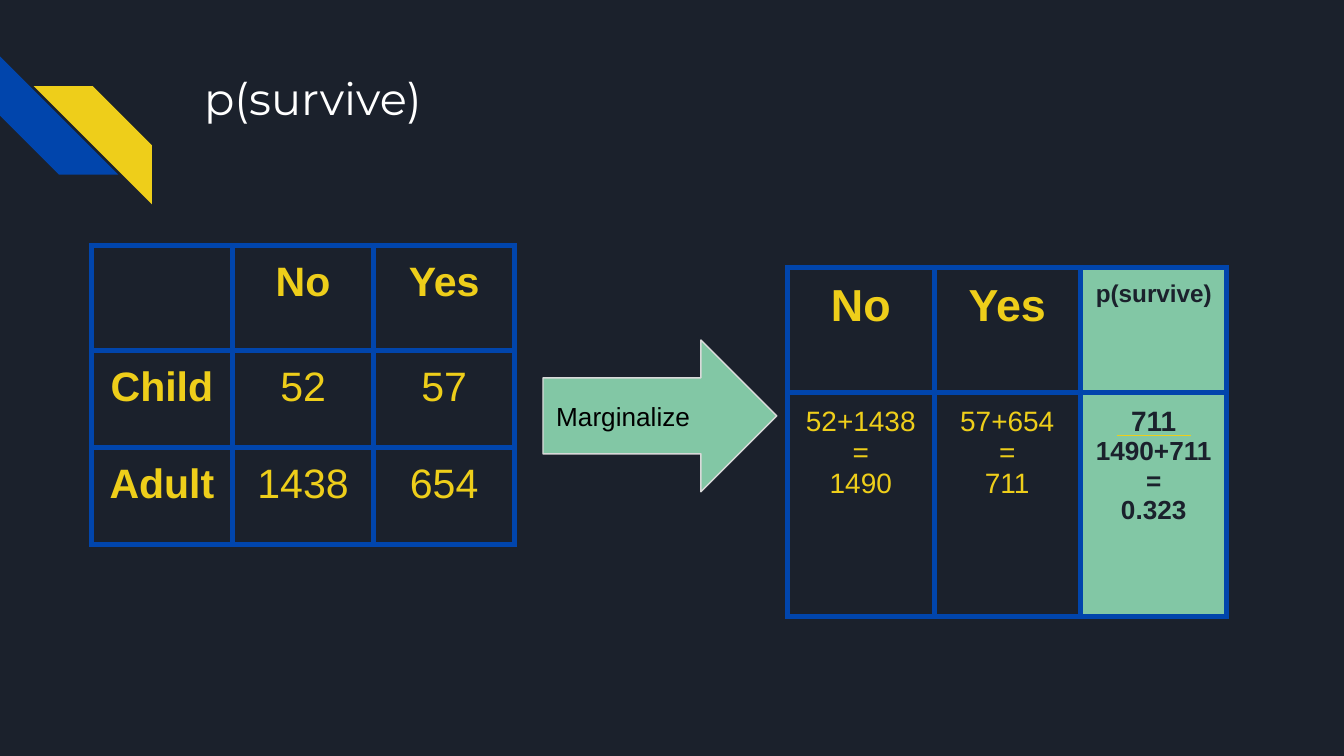
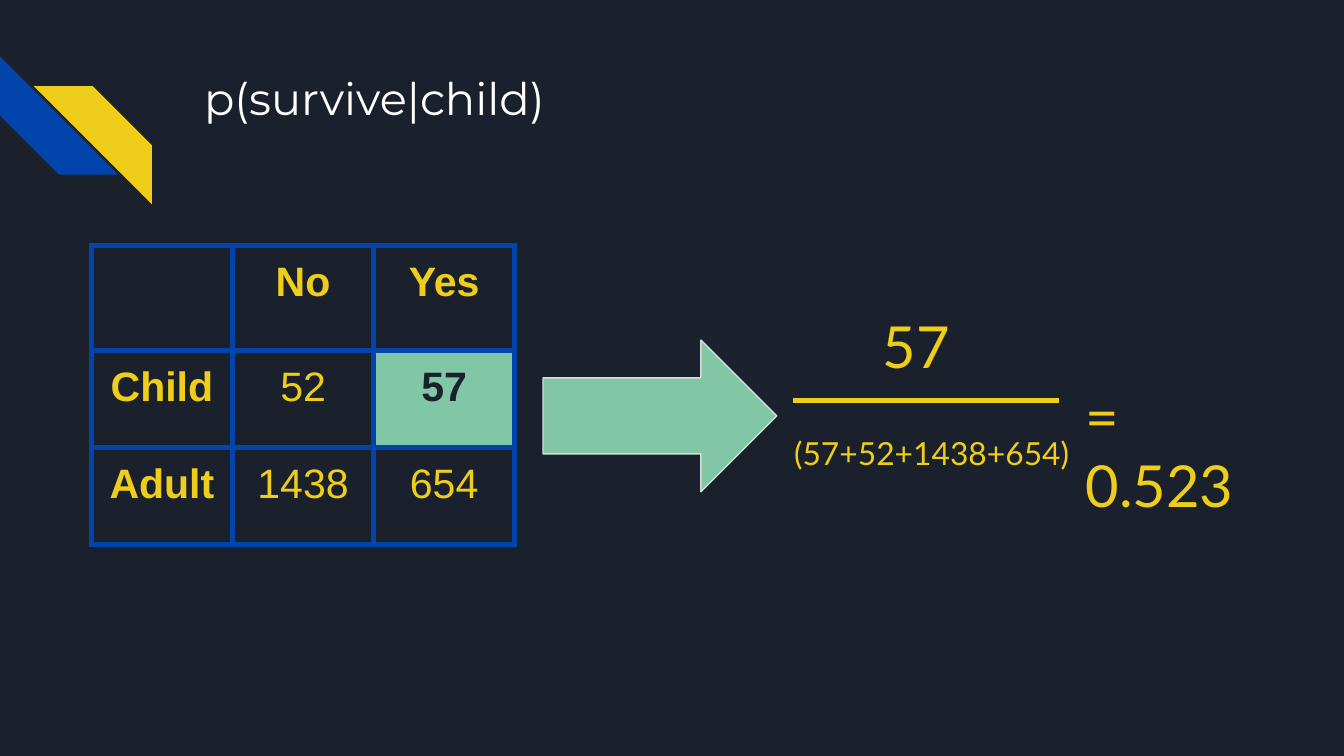
from dataclasses import dataclass, replace

from lxml.etree import SubElement
from pptx import Presentation
from pptx.dml.color import RGBColor
from pptx.enum.shapes import MSO_CONNECTOR, MSO_SHAPE
from pptx.enum.text import MSO_ANCHOR, MSO_AUTO_SIZE, PP_ALIGN
from pptx.oxml.ns import qn
from pptx.slide import Slide
from pptx.table import _Cell
from pptx.text.text import TextFrame
from pptx.util import Inches, Length, Pt

NAVY = RGBColor(0x1B, 0x21, 0x2C)
BLUE = RGBColor(0x01, 0x45, 0xAC)
YELLOW = RGBColor(0xEE, 0xCE, 0x1A)
GREEN = RGBColor(0x82, 0xC7, 0xA5)
GREY = RGBColor(0xD9, 0xD9, 0xD9)
WHITE = RGBColor(0xFF, 0xFF, 0xFF)
BLACK = RGBColor(0x00, 0x00, 0x00)

SLIDE_WIDTH = Inches(10)
SLIDE_HEIGHT = Length(SLIDE_WIDTH * 9 // 16)
MARGIN = Inches(0.1)
STRIPE_SIDE = Inches(0.88)


@dataclass(frozen=True)
class CellText:
    text: str = ""
    size: float = 22
    bold: bool = False
    highlighted: bool = False
    first_size: float | None = None


@dataclass(frozen=True)
class Grid:
    left: Length
    top: Length
    column_width: Length
    row_heights: list[Length]
    rows: list[list[CellText]]


@dataclass(frozen=True)
class FormulaPart:
    text: str
    left: Length
    top: Length
    width: Length
    height: Length
    size: float


def write_text(frame: TextFrame, text: str, *, size: float, color: RGBColor,
               font: str = "Arial", bold: bool = False,
               align: PP_ALIGN = PP_ALIGN.LEFT,
               first_size: float | None = None) -> None:
    """Write one paragraph per line; first_size applies to the first line only."""
    frame.word_wrap = True
    frame.margin_left = frame.margin_right = MARGIN
    frame.margin_top = frame.margin_bottom = MARGIN
    for index, line in enumerate(text.split("\n")):
        paragraph = frame.paragraphs[0] if index == 0 else frame.add_paragraph()
        paragraph.alignment = align
        run = paragraph.add_run()
        run.text = line
        run.font.name = font
        run.font.size = Pt(first_size if first_size and index == 0 else size)
        run.font.bold = bold
        run.font.color.rgb = color


def add_stripe(slide: Slide, left: Length, top: Length, color: RGBColor, *,
               rotation: float = 0, flipped: bool = False) -> None:
    stripe = slide.shapes.add_shape(MSO_SHAPE.DIAGONAL_STRIPE, left, top,
                                    STRIPE_SIDE, STRIPE_SIDE)
    stripe.shadow.inherit = False
    stripe.fill.solid()
    stripe.fill.fore_color.rgb = color
    stripe.line.fill.background()
    stripe.rotation = rotation
    if flipped:
        stripe.element.spPr.find(qn("a:xfrm")).set("flipH", "1")


def add_titled_slide(deck: Presentation, title: str) -> Slide:
    slide = deck.slides.add_slide(deck.slide_layouts[6])
    slide.background.fill.solid()
    slide.background.fill.fore_color.rgb = NAVY
    add_stripe(slide, Inches(0), Inches(0.42), BLUE, rotation=270)
    add_stripe(slide, Inches(0.25), Inches(0.64), YELLOW, flipped=True)
    heading = slide.shapes.add_textbox(Inches(1.42), Inches(0.43), Inches(7.7), Inches(1))
    write_text(heading.text_frame, title, size=24, color=WHITE, font="Montserrat")
    return slide


def add_borders(cell: _Cell) -> None:
    properties = cell._tc.get_or_add_tcPr()
    for side in ("a:lnL", "a:lnR", "a:lnT", "a:lnB"):
        border = SubElement(properties, qn(side), w=str(Pt(3)))
        fill = SubElement(border, qn("a:solidFill"))
        SubElement(fill, qn("a:srgbClr"), val=str(BLUE))


def add_grid(slide: Slide, grid: Grid) -> None:
    column_count = len(grid.rows[0])
    table = slide.shapes.add_table(
        len(grid.rows), column_count, grid.left, grid.top,
        grid.column_width * column_count, sum(grid.row_heights)).table
    table.first_row = table.horz_banding = False
    for column in table.columns:
        column.width = grid.column_width
    for row, height, contents in zip(table.rows, grid.row_heights, grid.rows):
        row.height = height
        for cell, content in zip(row.cells, contents):
            cell.margin_left = cell.margin_right = MARGIN
            cell.margin_top = cell.margin_bottom = MARGIN
            add_borders(cell)
            if content.highlighted:
                cell.fill.solid()
                cell.fill.fore_color.rgb = GREEN
            else:
                cell.fill.background()
            if content.text:
                write_text(cell.text_frame, content.text, size=content.size,
                           color=NAVY if content.highlighted else YELLOW,
                           bold=content.bold, align=PP_ALIGN.CENTER,
                           first_size=content.first_size)


def add_survival_counts(slide: Slide, *, highlight_child_yes: bool = False) -> None:
    child_yes = CellText("57")
    if highlight_child_yes:
        child_yes = replace(child_yes, bold=True, highlighted=True)
    add_grid(slide, Grid(
        Inches(0.68), Inches(1.83), Inches(1.05),
        [Inches(0.78), Inches(0.72), Inches(0.72)],
        [[CellText(), CellText("No", bold=True), CellText("Yes", bold=True)],
         [CellText("Child", bold=True), CellText("52"), child_yes],
         [CellText("Adult", bold=True), CellText("1438"), CellText("654")]]))


def add_step_arrow(slide: Slide, label: str = "") -> None:
    arrow = slide.shapes.add_shape(MSO_SHAPE.RIGHT_ARROW, Inches(4.04), Inches(2.53),
                                   Inches(1.74), Inches(1.13))
    arrow.shadow.inherit = False
    arrow.fill.solid()
    arrow.fill.fore_color.rgb = GREEN
    arrow.line.color.rgb = GREY
    arrow.line.width = Pt(0.75)
    if label:
        arrow.text_frame.vertical_anchor = MSO_ANCHOR.MIDDLE
        write_text(arrow.text_frame, label, size=14, color=BLACK)


def add_fraction_bar(slide: Slide, left: Length, right: Length, y: Length,
                     weight: float) -> None:
    bar = slide.shapes.add_connector(MSO_CONNECTOR.STRAIGHT, left, y, right, y)
    bar.line.color.rgb = YELLOW
    bar.line.width = Pt(weight)
    SubElement(bar.element.spPr, qn("a:effectLst"))


def add_formula_part(slide: Slide, part: FormulaPart) -> None:
    box = slide.shapes.add_textbox(part.left, part.top, part.width, part.height)
    write_text(box.text_frame, part.text, size=part.size, color=YELLOW, font="Lato")
    box.text_frame.auto_size = MSO_AUTO_SIZE.SHAPE_TO_FIT_TEXT


def build_survive(deck: Presentation) -> None:
    slide = add_titled_slide(deck, "p(survive)")
    add_survival_counts(slide)
    add_step_arrow(slide, "Marginalize")
    # Marginal totals and the resulting probability
    add_grid(slide, Grid(
        Inches(5.86), Inches(1.99), Inches(1.09), [Inches(0.93), Inches(1.67)],
        [[CellText("No", 24, bold=True), CellText("Yes", 24, bold=True),
          CellText("p(survive)", 13, bold=True, highlighted=True)],
         [CellText("52+1438\n=\n1490", 15), CellText("57+654\n=\n711", 15),
          CellText("711\n1490+711\n=\n0.323", 14, bold=True, highlighted=True,
                   first_size=15)]]))
    add_fraction_bar(slide, Inches(8.31), Inches(8.86), Inches(3.24), 0.75)


def build_survive_given_child(deck: Presentation) -> None:
    slide = add_titled_slide(deck, "p(survive|child)")
    add_survival_counts(slide, highlight_child_yes=True)
    add_step_arrow(slide)
    # Share of surviving children among all passengers
    add_fraction_bar(slide, Inches(5.9), Inches(7.88), Inches(2.98), 3)
    for part in (
        FormulaPart("57", Inches(6.47), Inches(2.21), Inches(1), Inches(0.72), 31),
        FormulaPart("(57+52+1438+654)", Inches(5.81), Inches(3.13),
                    Inches(2.59), Inches(0.49), 17),
        FormulaPart("= 0.523", Inches(7.98), Inches(2.73), Inches(1.64), Inches(0.72), 31),
    ):
        add_formula_part(slide, part)


def main() -> None:
    deck = Presentation()
    deck.slide_width = SLIDE_WIDTH
    deck.slide_height = SLIDE_HEIGHT
    build_survive(deck)
    build_survive_given_child(deck)
    deck.save("out.pptx")


if __name__ == "__main__":
    main()
